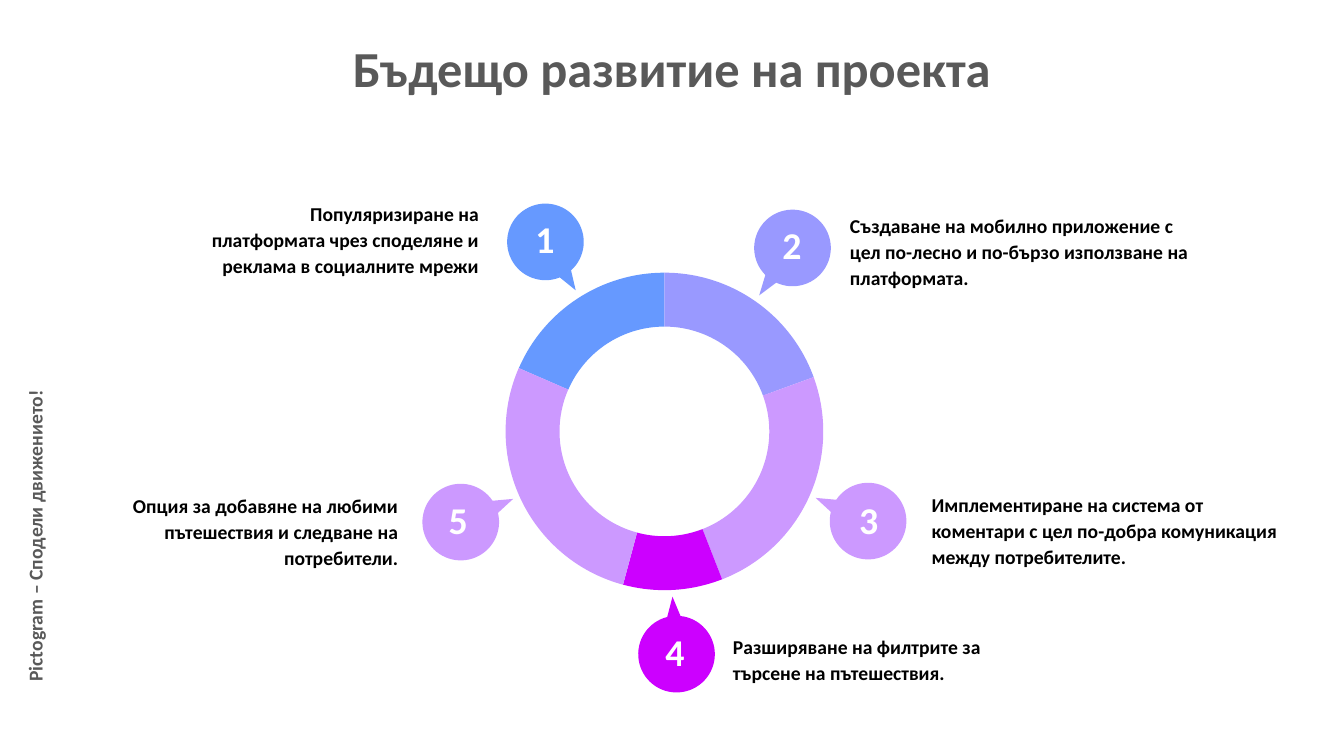
import math

from lxml import etree
from pptx import Presentation
from pptx import util as u
from pptx.dml.color import RGBColor
from pptx.enum import text as t
from pptx.oxml import ns

BLUE = RGBColor(0x66, 0x99, 0xFF)
PERIWINKLE = RGBColor(0x99, 0x99, 0xFF)
LILAC = RGBColor(0xCC, 0x99, 0xFF)
MAGENTA = RGBColor(0xCC, 0x00, 0xFF)
WHITE = RGBColor(0xFF, 0xFF, 0xFF)
BLACK = RGBColor(0x00, 0x00, 0x00)
GRAY = RGBColor(0x59, 0x59, 0x59)

LEFT, CENTER, RIGHT = t.PP_ALIGN.LEFT, t.PP_ALIGN.CENTER, t.PP_ALIGN.RIGHT

# Content: angles run clockwise from the top, lengths are inches
TITLE = "Бъдещо развитие на проекта"
SIDE_LABEL = "Pictogram – Сподели движението!"
STEPS = [
    dict(text="Популяризиране на платформата чрез споделяне и реклама в социалните мрежи",
         box=(1.79, 1.92, 3.08, 0.9), align=RIGHT, color=BLUE, arc=(293.5, 360),
         bubble=(5.41, 2.4), tip=(5.71, 2.88), number=(5.21, 2.09)),
    dict(text="Създаване на мобилно приложение с цел по-лесно и по-бързо използване на платформата.",
         box=(8.31, 2.04, 3.65, 0.89), align=LEFT, color=PERIWINKLE, arc=(0, 70),
         bubble=(7.86, 2.46), tip=(7.53, 2.93), number=(7.66, 2.15)),
    dict(text="Имплементиране на система от коментари с цел по-добра комуникация между потребителите.",
         box=(9.12, 4.81, 3.74, 0.89), align=LEFT, color=LILAC, arc=(70, 158.7),
         bubble=(8.61, 5.17), tip=(8.09, 4.94), number=(8.42, 4.88)),
    dict(text="Разширяване на филтрите за търсене на пътешествия.",
         box=(7.15, 6.22, 2.84, 0.64), align=LEFT, color=MAGENTA, arc=(158.7, 195.1),
         bubble=(6.71, 6.49), tip=(6.67, 5.92), number=(6.5, 6.19)),
    dict(text="Опция за добавяне на любими пътешествия и следване на потребители.",
         box=(0.55, 4.82, 3.52, 0.9), align=RIGHT, color=LILAC, arc=(195.1, 293.5),
         bubble=(4.57, 5.18), tip=(5.09, 4.95), number=(4.35, 4.88)),
]
RING_CENTER, RING_OUTER, RING_INNER = (6.59, 4.28), 3.15 / 2, 1.04
BUBBLE_RADIUS, TAIL_HALF_ANGLE = 0.38, 10
NUMBER_SIZE = (0.39, 0.56)

deck = Presentation()
deck.slide_width, deck.slide_height = u.Inches(13.33), u.Inches(7.5)
page = deck.slides.add_slide(deck.slide_layouts[6])


def on_circle(center, radius, angle):
    a = math.radians(angle)
    return center[0] + radius * math.sin(a), center[1] - radius * math.cos(a)


def curves(center, radius, angles):
    """One Bezier piece (two handles and an end) between neighbouring angles."""
    pieces = []
    for start, end in zip(angles, angles[1:]):
        reach = radius * 4 / 3 * math.tan(math.radians(end - start) / 4)
        first, last = (on_circle(center, radius, a) for a in (start, end))
        pieces.append([on_circle(first, reach, start + 90),
                       on_circle(last, -reach, end + 90), last])
    return pieces


def add_outline(origin, pieces, color):
    """Pieces of one point are straight, pieces of three points are curves."""
    corners = [(u.Inches(x), u.Inches(y)) for piece in pieces for x, y in piece]
    builder = page.shapes.build_freeform(*map(u.Inches, origin), scale=1.0)
    builder.add_line_segments(corners, close=True)
    shape = builder.convert_to_shape()
    shape.shadow.inherit = False
    shape.fill.solid()
    shape.fill.fore_color.rgb = color
    shape.line.fill.background()
    # Turn each run of three line points into a curve
    lines = iter(shape.element.xpath(".//a:path/a:lnTo"))
    for piece in pieces:
        group = [next(lines) for _ in piece]
        if len(group) == 3:
            curve = etree.Element(ns.qn("a:cubicBezTo"))
            group[0].addprevious(curve)
            for line in group:
                curve.append(line[0])
                line.getparent().remove(line)


def add_text(words, place, size=14, color=BLACK, align=LEFT, spacing=None,
             wrap=True, inset=0.1, rotation=0):
    box = page.shapes.add_textbox(*map(u.Inches, place))
    box.rotation = rotation
    frame = box.text_frame
    frame.word_wrap = wrap
    frame.auto_size = t.MSO_AUTO_SIZE.SHAPE_TO_FIT_TEXT
    frame.margin_left = frame.margin_right = u.Inches(inset)
    frame.margin_top = frame.margin_bottom = u.Inches(inset / 2)
    para = frame.paragraphs[0]
    para.alignment = align
    para.line_spacing = spacing
    span = para.add_run()
    span.text = words
    span.font.name = "Calibri"
    span.font.size = u.Pt(size)
    span.font.bold = True
    span.font.color.rgb = color


# Ring segments, with curve ends at the quarter points
for step in STEPS:
    start, end = step["arc"]
    angles = [start] + [a for a in (90, 180, 270) if start < a < end] + [end]
    add_outline(on_circle(RING_CENTER, RING_OUTER, start),
                curves(RING_CENTER, RING_OUTER, angles)
                + [[on_circle(RING_CENTER, RING_INNER, end)]]
                + curves(RING_CENTER, RING_INNER, angles[::-1]), step["color"])

# Bubbles, each with a tail towards the ring
for step in STEPS:
    (x, y), (tip_x, tip_y) = step["bubble"], step["tip"]
    toward = math.degrees(math.atan2(tip_x - x, y - tip_y))
    start = toward + TAIL_HALF_ANGLE
    quarter = (360 - 2 * TAIL_HALF_ANGLE) / 4
    rim = curves((x, y), BUBBLE_RADIUS, [start + quarter * i for i in range(5)])
    add_outline(on_circle((x, y), BUBBLE_RADIUS, start),
                rim + [[(tip_x, tip_y)]], step["color"])

# Numbers, then captions
for number, step in enumerate(STEPS, 1):
    add_text(str(number), step["number"] + NUMBER_SIZE,
             size=27, color=WHITE, align=CENTER, wrap=False)
for step in STEPS:
    add_text(step["text"], step["box"], align=step["align"], spacing=1.1, inset=0.12)

# Title and vertical label
add_text(TITLE, (2.4, 0.32, 8.53, 0.71), size=36, color=GRAY, align=CENTER)
add_text(SIDE_LABEL, (-1.24, 5.1, 3.18, 0.34), color=GRAY, wrap=False, rotation=270)

deck.save("out.pptx")
